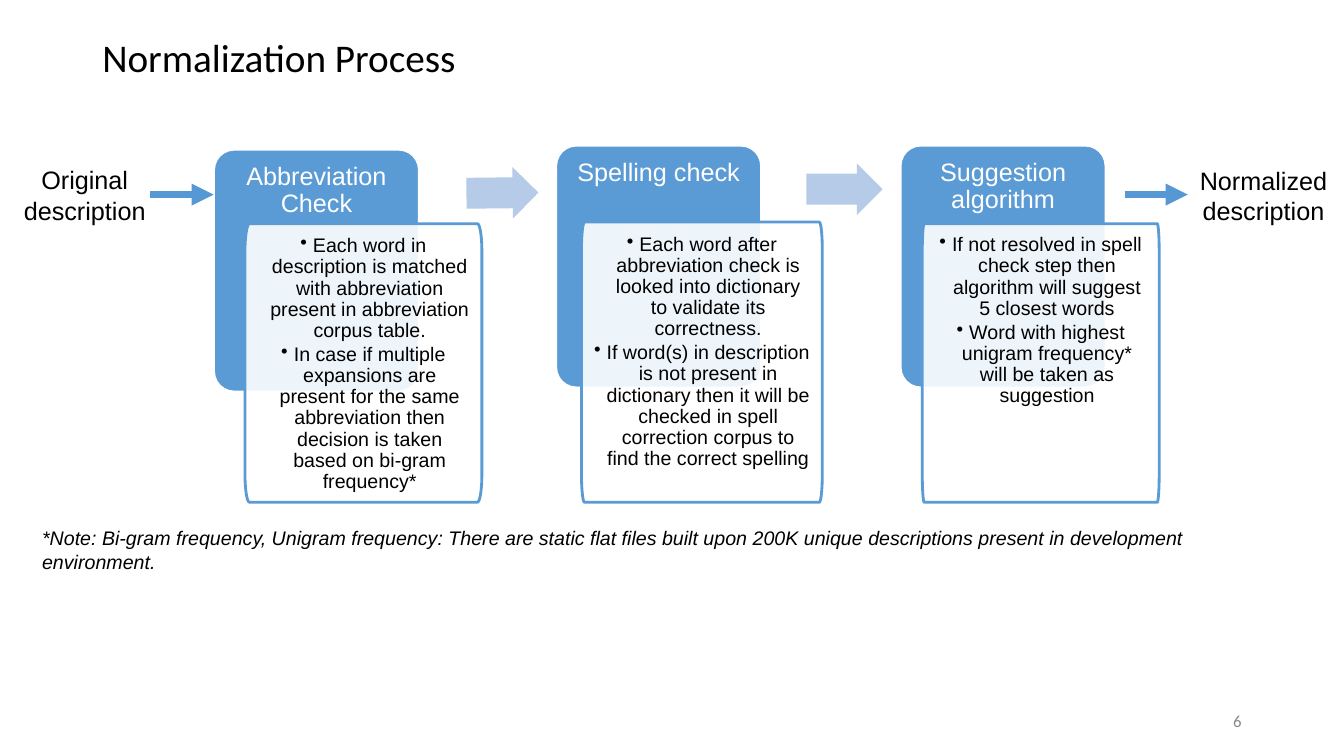
import math
from dataclasses import dataclass
from typing import Any

from lxml import etree
from pptx import Presentation
from pptx import util as u
from pptx.dml import color
from pptx.enum import shapes, text
from pptx.oxml import ns

COLORS = {
    "step": "5B9BD5",
    "flow": "B5CBE7",
    "connector": "5698D3",
    "white": "FFFFFF",
    "black": "000000",
    "number": "888888",
}
Box = tuple[float, float, float, float]
CENTER = text.PP_ALIGN.CENTER
MIDDLE = text.MSO_ANCHOR.MIDDLE


@dataclass(frozen=True)
class Step:
    heading: str
    header: Box
    detail: Box
    corner: float
    inset: float
    bullets: tuple[str, ...]


@dataclass(frozen=True)
class Flow:
    box: Box
    rotation: float = 0


@dataclass(frozen=True)
class Caption:
    wording: str
    box: Box
    font: dict[str, Any]
    color: str = "black"
    alignment: text.PP_ALIGN = text.PP_ALIGN.LEFT
    anchor: text.MSO_ANCHOR = text.MSO_ANCHOR.TOP
    spacing: float = 1.0


@dataclass(frozen=True)
class Link:
    start: float
    end: float
    height: float


STEPS = [
    Step("Abbreviation Check", (152.6, 106.6, 147, 173.4), (175, 159.8, 169.2, 199), 3.2, 8.6, (
        "Each word in description is matched with abbreviation present in abbreviation corpus table.",
        "In case if multiple expansions are present for the same abbreviation then decision is taken "
        "based on bi-gram frequency*",
    )),
    Step("Spelling check", (397, 103.7, 147, 173.4), (415.4, 158.6, 172, 200.2), 2.2, 8.6, (
        "Each word after abbreviation check is looked into dictionary to validate its correctness.",
        "If word(s) in description is not present in dictionary then it will be checked in spell "
        "correction corpus to find the correct spelling",
    )),
    Step("Suggestion algorithm", (643, 103.7, 147, 173.4), (658.8, 159.8, 169.2, 199), 1.4, 8, (
        "If not resolved in spell check step then algorithm will suggest 5 closest words",
        "Word with highest unigram frequency* will be taken as suggestion",
    )),
]
FLOWS = [Flow((333.2, 119.4, 51.4, 36.8), -0.6), Flow((576, 116.8, 54.4, 36.8))]
LINKS = [Link(107.5, 152.6, 139), Link(803.4, 848.4, 139)]

LABEL = {"name": "Arial", "size": u.Pt(18)}
BULLET = {"name": "Arial", "size": u.Pt(14)}
CAPTIONS = [
    Caption("Normalization Process", (66, 23, 828, 39), {"name": "Calibri", "size": u.Pt(28)},
            anchor=MIDDLE, spacing=0.9),
    Caption("6", (678, 500.5, 216, 28.8), {"name": "Calibri", "size": u.Pt(12)},
            "number", text.PP_ALIGN.RIGHT, MIDDLE),
    Caption("Original description", (0, 114, 121, 51), LABEL, alignment=CENTER),
    Caption("Normalized description", (842, 114.6, 121, 51), LABEL, alignment=CENTER),
    Caption("*Note: Bi-gram frequency, Unigram frequency: There are static flat files built upon "
            "200K unique descriptions present in development environment.",
            (23, 372.2, 900, 42), BULLET | {"italic": True}),
]


def rgb(name: str) -> color.RGBColor:
    return color.RGBColor.from_string(COLORS[name])


def set_values(target: Any, values: dict[str, Any]) -> None:
    for name, value in values.items():
        setattr(target, name, value)


def points(box: Box) -> list[u.Length]:
    return [u.Pt(value) for value in box]


def style_shape(shape: Any, fill: str, line: str | None = None) -> None:
    shape.shadow.inherit = False
    shape.fill.solid()
    shape.fill.fore_color.rgb = rgb(fill)
    if line:
        shape.line.color.rgb = rgb(line)
        shape.line.width = u.Pt(2)
    else:
        shape.line.fill.background()


def set_frame(shape: Any, insets: Box, anchor: text.MSO_ANCHOR) -> Any:
    left, top, right, bottom = points(insets)
    set_values(shape.text_frame, {
        "word_wrap": True, "vertical_anchor": anchor,
        "margin_left": left, "margin_top": top,
        "margin_right": right, "margin_bottom": bottom,
    })
    return shape.text_frame


def write(paragraph: Any, wording: str, font: dict[str, Any], ink: str, layout: dict[str, Any]) -> None:
    run = paragraph.add_run()
    run.text = wording
    run.font.color.rgb = rgb(ink)
    set_values(run.font, font)
    set_values(paragraph, layout)


def add_bullet(paragraph: Any) -> None:
    properties = paragraph._p.get_or_add_pPr()
    properties.set("marL", str(u.Pt(9)))
    properties.set("indent", str(-u.Pt(9)))
    etree.SubElement(properties, ns.qn("a:buChar")).set("char", "•")


def draw_header(slide: Any, step: Step) -> None:
    shape = slide.shapes.add_shape(shapes.MSO_SHAPE.ROUNDED_RECTANGLE, *points(step.header))
    shape.adjustments[0] = 0.1
    style_shape(shape, "step", "white")
    frame = set_frame(shape, (5.8, 5.8, 5.8, 59), text.MSO_ANCHOR.TOP)
    write(frame.paragraphs[0], step.heading, LABEL, "white", {"alignment": CENTER, "line_spacing": 0.9})


def draw_detail(slide: Any, step: Step) -> None:
    left, top, width, height = step.detail
    rx, ry = step.corner, 19.6
    centers = [(left + width - rx, top + height - ry), (left + rx, top + height - ry),
               (left + rx, top + ry), (left + width - rx, top + ry)]
    outline = []
    for quarter, (x, y) in enumerate(centers):
        for degrees in range(quarter * 90, quarter * 90 + 91, 10):
            angle = math.radians(degrees)
            outline.append((u.Pt(x + rx * math.cos(angle)), u.Pt(y + ry * math.sin(angle))))
    builder = slide.shapes.build_freeform(*outline[0])
    builder.add_line_segments(outline[1:], close=True)
    shape = builder.convert_to_shape()
    style_shape(shape, "white", "step")
    fill = shape._element.spPr.find(ns.qn("a:solidFill"))
    etree.SubElement(fill[0], ns.qn("a:alpha")).set("val", "90000")
    frame = set_frame(shape, (step.inset,) * 4, text.MSO_ANCHOR.TOP)
    for index, wording in enumerate(step.bullets):
        paragraph = frame.add_paragraph() if index else frame.paragraphs[0]
        write(paragraph, wording, BULLET, "black",
              {"alignment": CENTER, "line_spacing": 0.9, "space_after": u.Pt(2), "level": 1})
        add_bullet(paragraph)


def draw_flow(slide: Any, flow: Flow) -> None:
    shape = slide.shapes.add_shape(shapes.MSO_SHAPE.RIGHT_ARROW, *points(flow.box))
    shape.adjustments[0] = 0.6
    shape.adjustments[1] = 0.5
    shape.rotation = flow.rotation
    style_shape(shape, "flow")


def draw_caption(slide: Any, caption: Caption) -> None:
    shape = slide.shapes.add_textbox(*points(caption.box))
    frame = set_frame(shape, (7.2, 3.6, 7.2, 3.6), caption.anchor)
    write(frame.paragraphs[0], caption.wording, caption.font, caption.color,
          {"alignment": caption.alignment, "line_spacing": caption.spacing})


def draw_link(slide: Any, link: Link) -> None:
    connector = slide.shapes.add_connector(
        shapes.MSO_CONNECTOR.STRAIGHT, *points((link.start, link.height, link.end, link.height)))
    connector.line.color.rgb = rgb("connector")
    connector.line.width = u.Pt(5.25)
    etree.SubElement(connector.line._get_or_add_ln(), ns.qn("a:tailEnd")).set("type", "triangle")
    etree.SubElement(connector._element.spPr, ns.qn("a:effectLst"))


def main() -> None:
    presentation = Presentation()
    set_values(presentation, {"slide_width": u.Pt(960), "slide_height": u.Pt(540)})
    slide = presentation.slides.add_slide(presentation.slide_layouts[6])
    for step in STEPS:
        draw_header(slide, step)
        draw_detail(slide, step)
    for draw, items in ((draw_flow, FLOWS), (draw_caption, CAPTIONS), (draw_link, LINKS)):
        for item in items:
            draw(slide, item)
    presentation.save("out.pptx")


if __name__ == "__main__":
    main()
